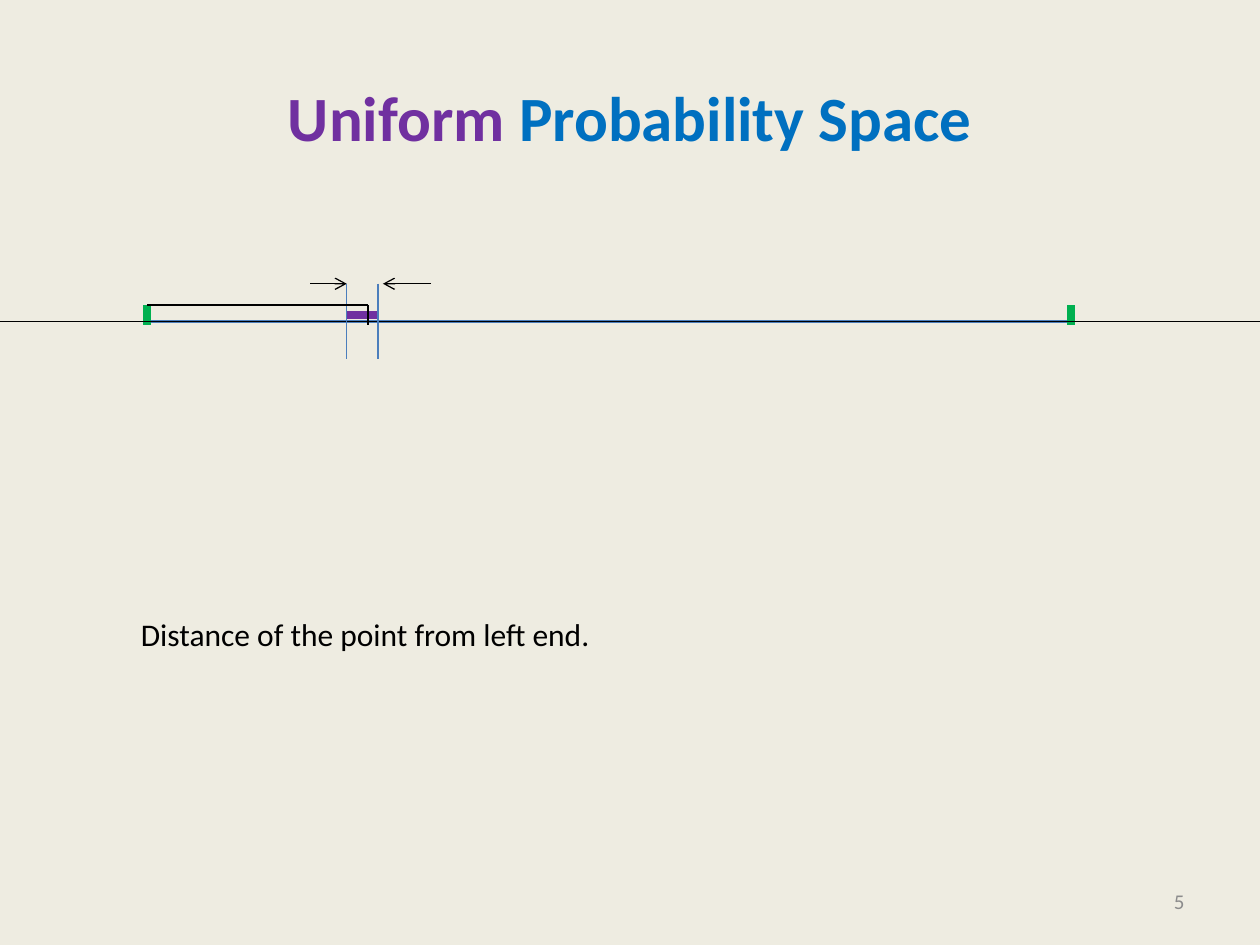
from lxml.etree import SubElement
from pptx import Presentation
from pptx.dml.color import RGBColor
from pptx.enum.shapes import MSO_CONNECTOR
from pptx.enum.text import MSO_ANCHOR as ANCHOR, MSO_AUTO_SIZE as FIT, PP_ALIGN as ALIGN
from pptx.oxml.ns import qn
from pptx.util import Cm, Pt

BLACK, GREEN, PURPLE, BLUE, STEEL, GREY = (
    "000000", "00B050", "7030A0", "0070C0", "4B7EBC", "8C8C8C")


def rgb(value):
    return RGBColor.from_string(value)


class Deck:
    font = "Calibri"

    def __init__(self, width, height):
        self.prs = Presentation()
        self.prs.slide_width, self.prs.slide_height = Cm(width), Cm(height)

    def slide(self, background):
        self.s = self.prs.slides.add_slide(self.prs.slide_layouts[6])
        fill = self.s.background.fill
        fill.solid()
        fill.fore_color.rgb = rgb(background)

    def text(self, box, runs, size, align=ALIGN.LEFT, anchor=ANCHOR.MIDDLE,
             wrap=True, bold=False):
        """Add one paragraph; runs holds (text, colour) pairs."""
        tf = self.s.shapes.add_textbox(*map(Cm, box)).text_frame
        tf.word_wrap, tf.vertical_anchor = wrap, anchor
        if not wrap:
            tf.auto_size = FIT.SHAPE_TO_FIT_TEXT
        p = tf.paragraphs[0]
        p.alignment = align
        for words, colour in runs:
            r = p.add_run()
            r.text = words
            r.font.name, r.font.size, r.font.bold = self.font, Pt(size), bold
            r.font.color.rgb = rgb(colour)

    def line(self, x1, y1, x2, y2, colour, width=0.75, arrow=False):
        c = self.s.shapes.add_connector(
            MSO_CONNECTOR.STRAIGHT, Cm(x1), Cm(y1), Cm(x2), Cm(y2))
        c.line.color.rgb = rgb(colour)
        c.line.width = Pt(width)
        if arrow:
            SubElement(c.line._get_or_add_ln(), qn("a:tailEnd"), type="arrow")
        SubElement(c._element.spPr, qn("a:effectLst"))


def main():
    deck = Deck(25.4, 19.05)
    deck.slide("EEECE1")
    deck.text((1.27, 0.76, 22.86, 3.18),
              [("Uniform ", PURPLE), ("Probability Space", BLUE)],
              36, ALIGN.CENTER, bold=True)
    deck.text((18.2, 17.66, 5.93, 1.01), [("5", GREY)], 12, ALIGN.RIGHT)

    left, right, axis = 2.97, 21.59, 6.48
    tick_top, tick_bottom = 6.15, 6.55
    start, end, point = 6.99, 7.62, 7.42
    arrow_y, guide_bottom = 5.72, 7.24

    deck.line(left, axis, right, axis, STEEL, 1.5)
    for x in (left, right):
        deck.line(x, tick_top, x, tick_bottom, GREEN, 4.5)
    deck.line(0, axis, 25.4, axis, BLACK, 1)
    deck.line(start, 6.35, end, 6.35, PURPLE, 4.5)
    for tail, tip in ((6.25, start), (8.69, 7.72)):
        deck.line(tail, arrow_y, tip, arrow_y, BLACK, arrow=True)
    for x in (start, end):
        deck.line(x, arrow_y, x, guide_bottom, STEEL)
    deck.line(point, tick_top, point, tick_bottom, BLACK)
    deck.line(left, tick_top, point, tick_top, BLACK)

    deck.text((2.59, 12.27, 9.68, 1.03),
              [("Distance of the point from left end.", BLACK)],
              18, anchor=ANCHOR.TOP, wrap=False)
    deck.prs.save("out.pptx")


if __name__ == "__main__":
    main()
